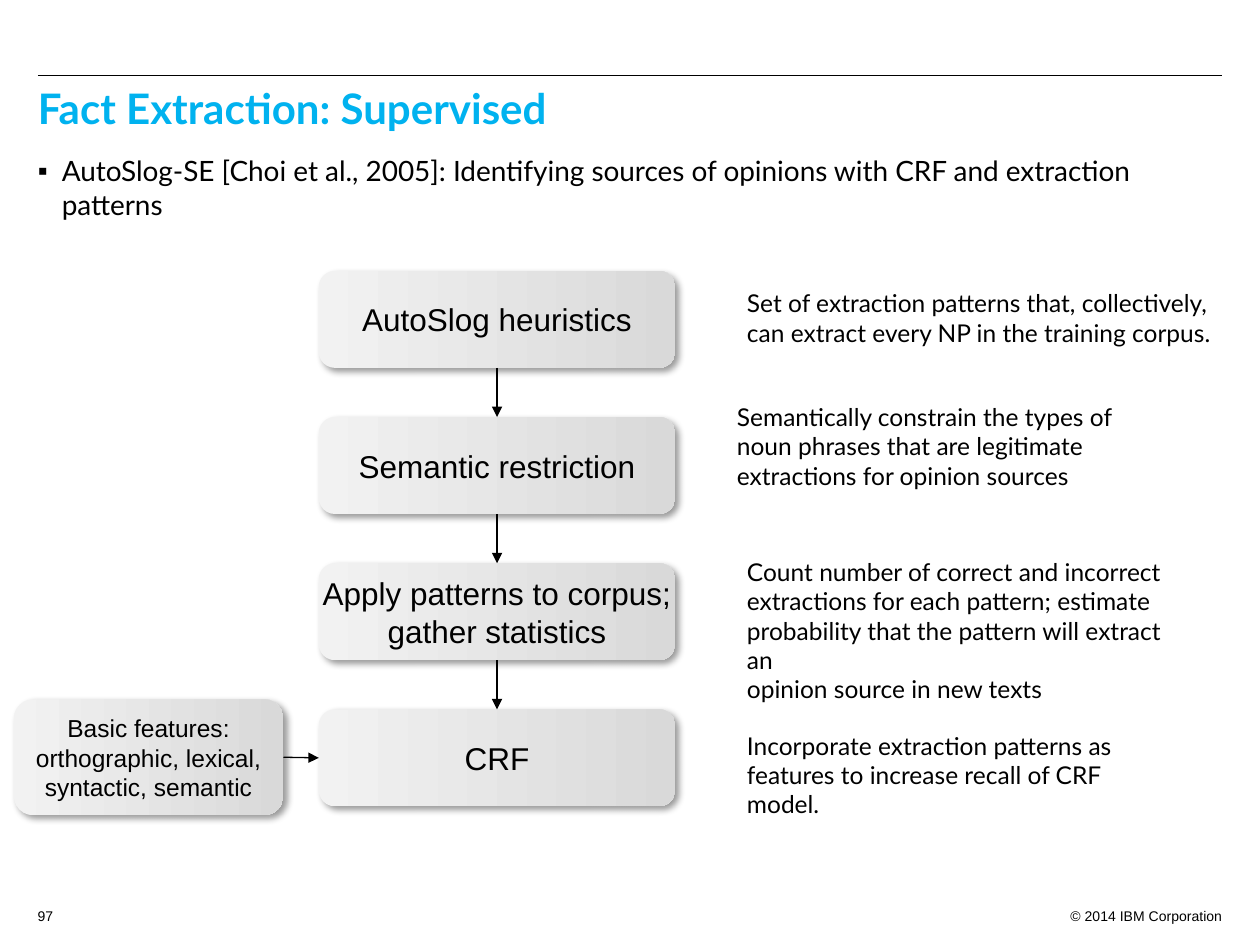
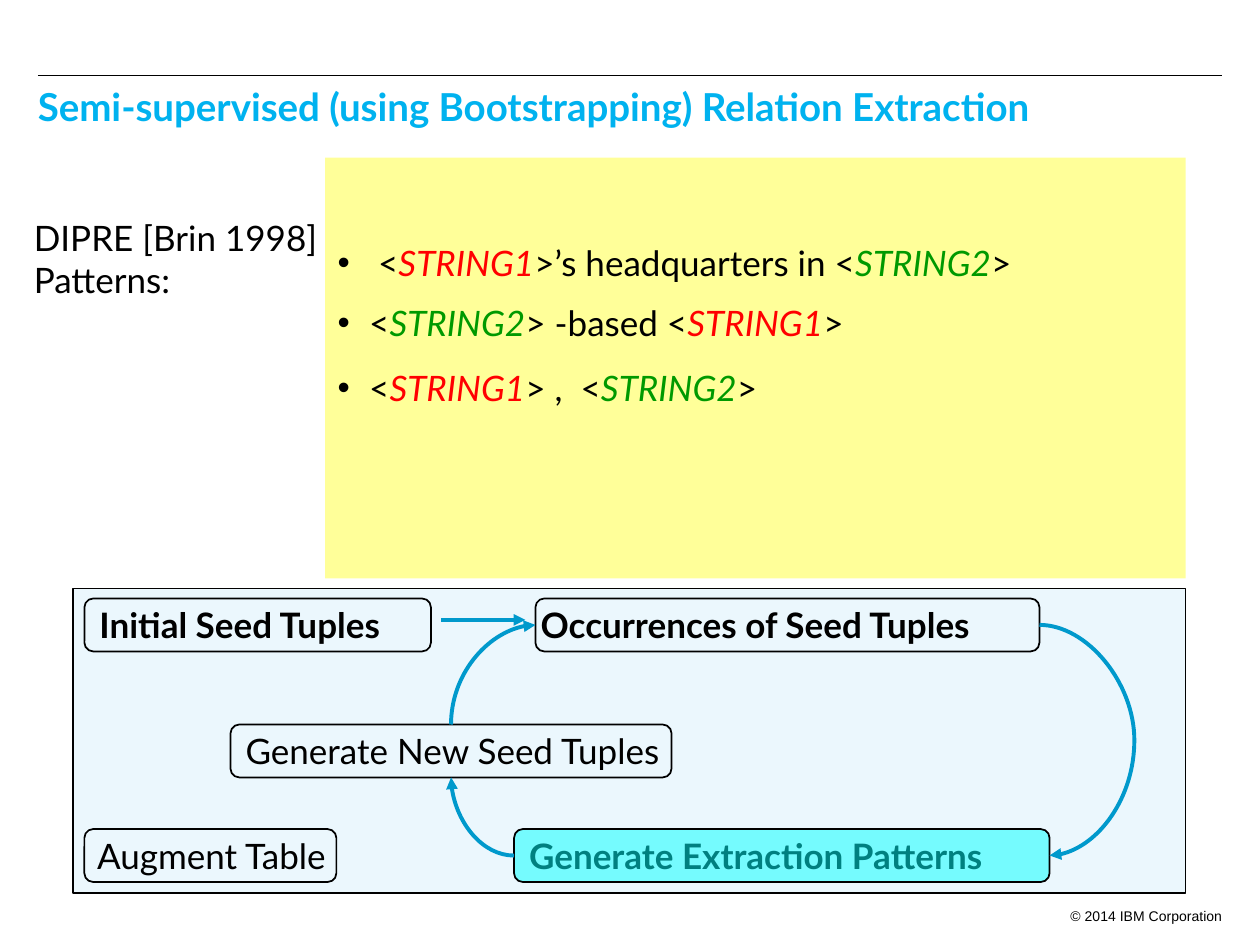
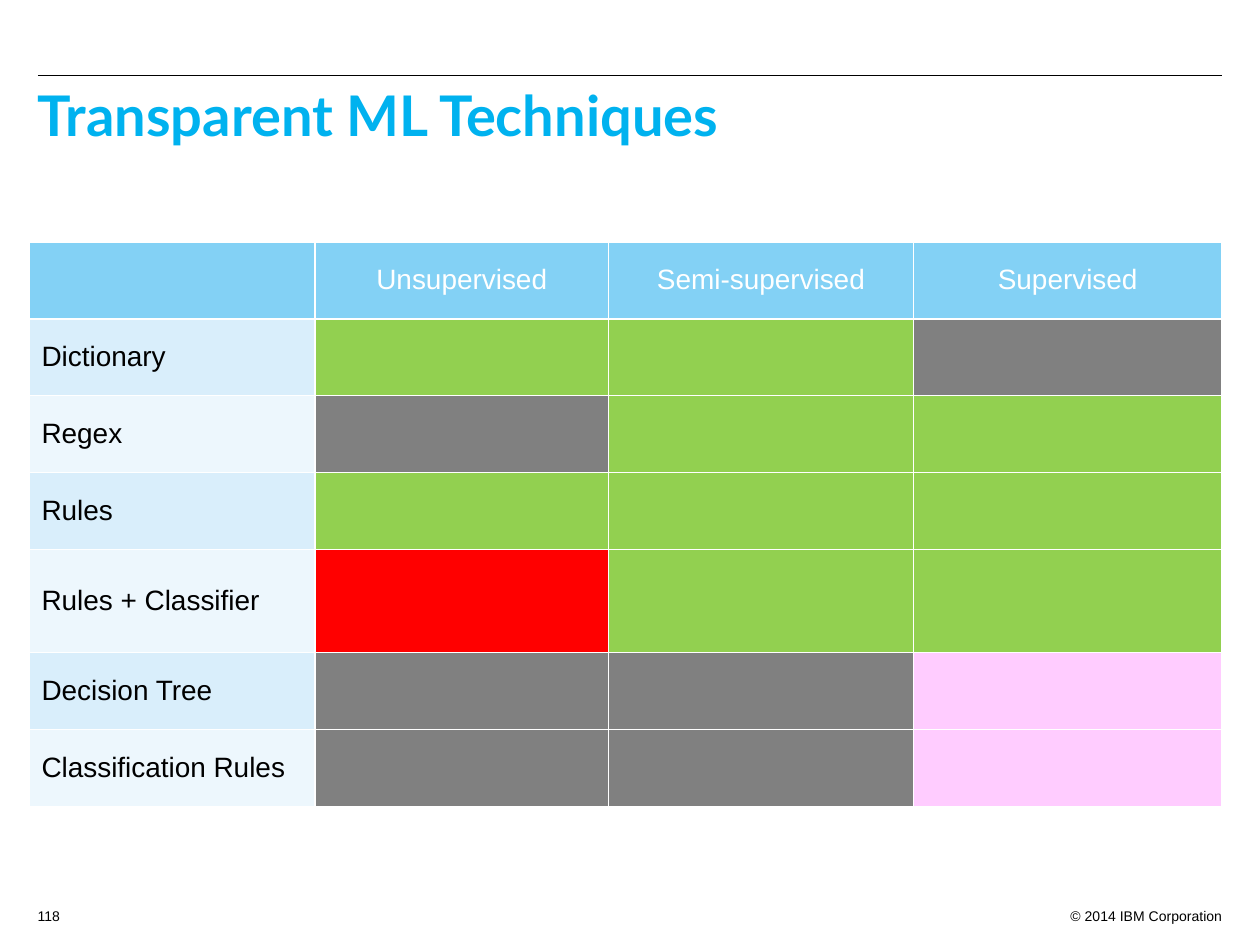
from pptx import Presentation
from pptx.dml.color import RGBColor
from pptx.enum.shapes import MSO_CONNECTOR, MSO_SHAPE
from pptx.enum.text import MSO_ANCHOR, MSO_AUTO_SIZE, PP_ALIGN
from pptx.oxml.ns import qn
from pptx.util import Inches, Pt
from lxml import etree

STRAIGHT, CURVE = MSO_CONNECTOR.STRAIGHT, MSO_CONNECTOR.CURVE
RECT, ROUND = MSO_SHAPE.RECTANGLE, MSO_SHAPE.ROUNDED_RECTANGLE
LEFT, CENTER, RIGHT = PP_ALIGN.LEFT, PP_ALIGN.CENTER, PP_ALIGN.RIGHT
TOP, MIDDLE = MSO_ANCHOR.TOP, MSO_ANCHOR.MIDDLE
NO_FIT = MSO_AUTO_SIZE.NONE

HEX = {
    "black": "000000", "white": "FFFFFF", "title": "00B2EF",
    "box light": "F2F2F2", "box dark": "D9D9D9",
    "yellow": "FFFF99", "red": "FF0000", "string green": "009900",
    "panel": "D8F0FC", "cyan": "00FFFF", "teal": "008080", "arrow": "0099CC",
    "header": "83D1F5", "odd row": "D9EEFB", "even row": "EDF7FD",
    "green": "92D050", "gray": "808080", "pink": "FFCCFF",
}
C = {name: RGBColor.from_string(value) for name, value in HEX.items()}


def style(tf, size, color="black", font="Lato", bold=False, align=LEFT):
    """Format every paragraph and run of a text frame."""
    for p in tf.paragraphs:
        p.alignment = align
        for r in p.runs:
            r.font.size, r.font.name, r.font.bold = Pt(size), font, bold
            r.font.color.rgb = C[color]


def add_arrow(s, kind, x1, y1, x2, y2, color="black", width=0.75, head=True):
    """Add a line without shadow, with a triangle at its end if head."""
    line = s.shapes.add_connector(kind, Inches(x1), Inches(y1), Inches(x2), Inches(y2))
    line.line.color.rgb = C[color]
    line.line.width = Pt(width)
    if head:
        ln = line._element.spPr.find(qn("a:ln"))
        etree.SubElement(ln, qn("a:tailEnd"), type="triangle")
    etree.SubElement(line._element.spPr, qn("a:effectLst"))
    return line


prs = Presentation()
prs.slide_width, prs.slide_height = Inches(10), Inches(7.5)

# Shared parts: title, rule, copyright line and page number
slides = []
for layout, title, size, page in [
    (1, "Fact Extraction: Supervised", 24, "97"),
    (1, "Semi-supervised (using Bootstrapping) Relation Extraction", 22, None),
    (5, "Transparent ML Techniques", 32, "118"),
]:
    s = prs.slides.add_slide(prs.slide_layouts[layout])
    slides.append(s)
    sp = s.shapes.title
    sp.left, sp.top, sp.width, sp.height = Inches(0.2), Inches(0.65), Inches(9.5), Inches(0.8)
    tf = sp.text_frame
    tf.text = title
    tf.auto_size, tf.vertical_anchor = NO_FIT, TOP
    tf.paragraphs[0].line_spacing = 0.9
    style(tf, size, "title", bold=True)

    add_arrow(s, STRAIGHT, 0.3, 0.6, 9.7, 0.6, head=False)
    for text, x, w, align in [("© 2014 IBM Corporation", 8.3, 1.5, RIGHT), (page, 0.2, 0.4, LEFT)]:
        if text:
            tf = s.shapes.add_textbox(Inches(x), Inches(7.15), Inches(w), Inches(0.2)).text_frame
            tf.word_wrap = True
            tf.text = text
            style(tf, 8, font="Arial", align=align)

# Slide 1: extraction pipeline
s = slides[0]
sp = s.placeholders[1]
sp.left, sp.top, sp.width, sp.height = Inches(0.2), Inches(1.17), Inches(9.5), Inches(0.71)
summary = sp.text_frame
summary.text = ("AutoSlog-SE [Choi et al., 2005]: Identifying sources of opinions "
                "with CRF and extraction patterns")
style(summary, 16)

steps = ["AutoSlog heuristics", "Semantic restriction",
         "Apply patterns to corpus;\ngather statistics", "CRF"]
specs = [(text, 2.53, 2.15 + 1.16 * i, 2.83, 0.77, 18) for i, text in enumerate(steps)]
specs.append(("Basic features: orthographic, lexical, syntactic, semantic",
              0.11, 5.55, 2.14, 0.92, 14))
boxes = []
for text, x, y, w, h, size in specs:
    sp = s.shapes.add_shape(ROUND, Inches(x), Inches(y), Inches(w), Inches(h))
    sp.fill.gradient()
    sp.fill.gradient_angle = 0
    for stop, color in zip(sp.fill.gradient_stops, ["box light", "box dark"]):
        stop.color.rgb = C[color]
    sp.line.fill.background()
    sp.shadow.inherit = False
    effects = sp._element.spPr.find(qn("a:effectLst"))
    shadow = etree.SubElement(effects, qn("a:outerShdw"), blurRad=str(Pt(4)),
                              dist=str(Pt(3)), dir="2700000", rotWithShape="0")
    tint = etree.SubElement(shadow, qn("a:srgbClr"), val=HEX["black"])
    etree.SubElement(tint, qn("a:alpha"), val="40000")
    tf = sp.text_frame
    tf.text = text
    tf.word_wrap, tf.vertical_anchor = size == 14, MIDDLE
    style(tf, size, font="Arial", align=CENTER)
    boxes.append(sp)

# Arrows join the steps downwards, and the features to the last step
joints = [(boxes[i], 2, boxes[i + 1], 0) for i in range(3)] + [(boxes[4], 3, boxes[3], 1)]
for start, start_side, end, end_side in joints:
    line = add_arrow(s, STRAIGHT, 0, 0, 1, 1)
    line.begin_connect(start, start_side)
    line.end_connect(end, end_side)

for text, x, y, w, h in [
    ("Set of extraction patterns that, collectively,\n"
     "can extract every NP in the training corpus.", 5.83, 2.24, 4.08, 0.57),
    ("Semantically constrain the types of noun phrases that are legitimate "
     "extractions for opinion sources", 5.75, 3.14, 3.54, 0.81),
    ("Count number of correct and incorrect extractions for each pattern; estimate\n"
     "probability that the pattern will extract an\n"
     "opinion source in new texts", 5.83, 4.37, 3.54, 1.04),
    ("Incorporate extraction patterns as features to increase recall of CRF model.",
     5.83, 5.75, 3.54, 0.57),
]:
    tf = s.shapes.add_textbox(Inches(x), Inches(y), Inches(w), Inches(h)).text_frame
    tf.word_wrap = True
    tf.text = text
    style(tf, 14)

# Slide 2: patterns on yellow
s = slides[1]
sp = s.placeholders[1]
sp.left, sp.top, sp.width, sp.height = Inches(2.58), Inches(1.25), Inches(6.83), Inches(3.34)
sp.fill.solid()
sp.fill.fore_color.rgb = C["yellow"]
patterns = sp.text_frame
patterns.margin_top = Inches(0.67)
marks = {"STRING1": "red", "STRING2": "string green"}
for i, parts in enumerate([
    [" <", "STRING1", ">’s headquarters in <", "STRING2", ">"],
    ["<", "STRING2", "> -based <", "STRING1", ">"],
    ["<", "STRING1", "> ,  <", "STRING2", ">"],
]):
    p = patterns.paragraphs[0] if i == 0 else patterns.add_paragraph()
    for text in parts:
        p.add_run().text = text
style(patterns, 20)
for p in patterns.paragraphs:
    for r in p.runs:
        if r.text in marks:
            r.font.italic = True
            r.font.color.rgb = C[marks[r.text]]

tf = s.shapes.add_textbox(Inches(0.17), Inches(1.67), Inches(2.47), Inches(0.77)).text_frame
tf.word_wrap = False
tf.text = "DIPRE [Brin 1998]\vPatterns:"
style(tf, 20)

# Bootstrapping loop: panel and its steps
for kind, text, x, y, w, h, fill, color, bold, inset in [
    (RECT, "", 0.58, 4.67, 8.83, 2.42, "panel", "black", False, 0.1),
    (ROUND, "Initial Seed Tuples", 0.67, 4.75, 2.75, 0.42, None, "black", True, 0.1),
    (ROUND, "Occurrences of Seed Tuples", 4.25, 4.75, 4, 0.42, None, "black", True, 0.02),
    (ROUND, "Generate New Seed Tuples", 1.83, 5.75, 3.5, 0.42, None, "black", False, 0.1),
    (ROUND, "Generate Extraction Patterns", 4.08, 6.58, 4.25, 0.42, "cyan", "teal", True, 0.1),
    (ROUND, "Augment Table", 0.67, 6.58, 2, 0.42, None, "black", False, 0.08),
]:
    sp = s.shapes.add_shape(kind, Inches(x), Inches(y), Inches(w), Inches(h))
    sp.shadow.inherit = False
    sp.line.color.rgb = C["black"]
    sp.line.width = Pt(1)
    if fill:
        sp.fill.solid()
        sp.fill.fore_color.rgb = C[fill]
        tint = sp._element.spPr.find(qn("a:solidFill"))[0]
        etree.SubElement(tint, qn("a:alpha"), val="50000")
    else:
        sp.fill.background()
    if text:
        tf = sp.text_frame
        tf.text = text
        tf.word_wrap, tf.vertical_anchor = False, MIDDLE
        tf.margin_left = Inches(inset)
        style(tf, 20, color, bold=bold)

add_arrow(s, STRAIGHT, 3.5, 4.92, 4.17, 4.92, "arrow", 2.25)
for x, y, w, h, preset, turn, bulge in [
    (8.25, 4.96, 0.08, 1.83, "curvedConnector3", 0, 9.42),
    (3.52, 5.02, 0.79, 0.67, "curvedConnector2", 270, None),
    (3.58, 6.17, 0.5, 0.62, "curvedConnector2", 180, None),
]:
    spPr = add_arrow(s, CURVE, x, y, x + w, y + h, "arrow", 2.25)._element.spPr
    spPr.find(qn("a:xfrm")).set("rot", str(turn * 60000))
    geom = spPr.find(qn("a:prstGeom"))
    geom.set("prst", preset)
    if bulge:
        etree.SubElement(geom.find(qn("a:avLst")), qn("a:gd"), name="adj1",
                         fmla=f"val {round(bulge * 100000)}")

# Bullets and spacing of both lists
for tf, char, indent, gaps in [(summary, "▪", 0.19, [0]), (patterns, "•", 0.25, [0, 10, 13])]:
    tf.auto_size, tf.vertical_anchor = NO_FIT, TOP
    for p, gap in zip(tf.paragraphs, gaps):
        p.space_before = Pt(gap)
        pPr = p._p.get_or_add_pPr()
        pPr.set("marL", str(Inches(indent)))
        pPr.set("indent", str(-Inches(indent)))
        etree.SubElement(pPr, qn("a:buChar"), char=char)

# Slide 3: table of techniques
s = slides[2]
header = ["", "Unsupervised", "Semi-supervised", "Supervised"]
techniques = [
    ("Dictionary", "green", "green", "gray"),
    ("Regex", "gray", "green", "green"),
    ("Rules", "green", "green", "green"),
    ("Rules + Classifier", "red", "green", "green"),
    ("Decision Tree", "gray", "gray", "pink"),
    ("Classification Rules", "gray", "gray", "pink"),
]
table = s.shapes.add_table(7, 4, Inches(0.23), Inches(1.92), Inches(9.47), Inches(4.5)).table
for column, width in zip(table.columns, [2.27, 2.33, 2.42, 2.45]):
    column.width = Inches(width)
for i, row in enumerate(table.rows):
    row.height = Inches(0.82 if i == 4 else 0.61)
    for j, cell in enumerate(row.cells):
        cell.vertical_anchor = MIDDLE
        cell.fill.solid()
        if i == 0:
            fill = "header"
            cell.text = header[j]
            style(cell.text_frame, 16, "white", "Arial", align=CENTER)
        elif j == 0:
            fill = "odd row" if i % 2 else "even row"
            cell.text = techniques[i - 1][0]
            style(cell.text_frame, 16, font="Arial")
        else:
            fill = techniques[i - 1][j]
        cell.fill.fore_color.rgb = C[fill]

prs.save("out.pptx")
